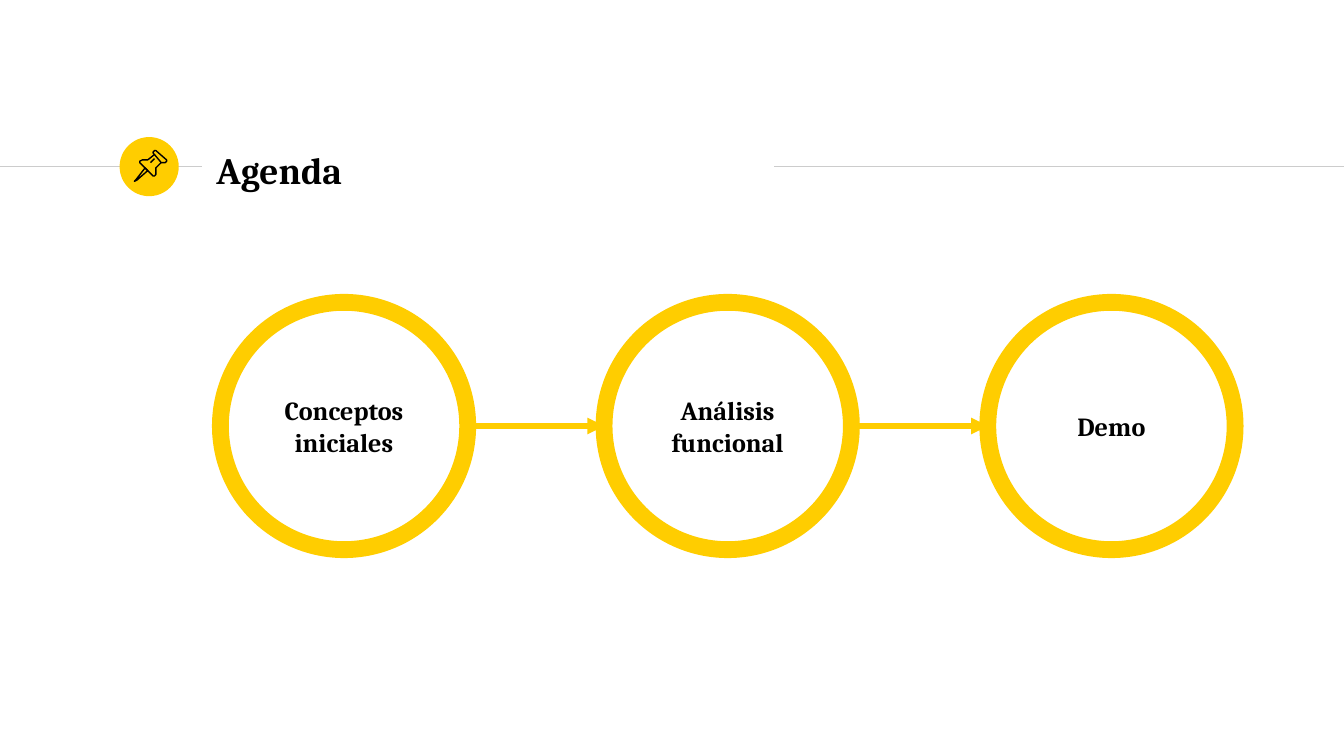
from lxml import etree
from pptx import Presentation
from pptx import util as u
from pptx.dml.color import RGBColor
from pptx.enum import shapes, text
from pptx.oxml import ns

YELLOW = RGBColor(0xFF, 0xCD, 0x00)
GRAY = RGBColor(0xCC, 0xCC, 0xCC)
BLACK = RGBColor(0, 0, 0)
FONT = "Cambria"

# Slide and grid, in inches
WIDTH = 10
HEIGHT = WIDTH * 9 / 16
RULE_Y = 1.24
DIAMETER = 1.84
FIRST_LEFT, LAST_LEFT = 1.64, 7.35
STEP_TOP = 2.25
STEPS = ["Conceptos iniciales", "Análisis funcional", "Demo"]

# Pushpin outlines in hundredths of an inch: points, closed
PIN = [
    ([(108, 125), (101, 134), (100, 135), (102, 134), (110, 127)], True),
    ([(115, 115), (120, 121), (122, 121), (123, 121), (124, 120), (124, 119),
      (116, 112), (115, 112), (114, 113), (114, 114)], True),
    ([(115, 115), (110, 119), (108, 119), (106, 119), (104, 120), (104, 121),
      (114, 131), (115, 131), (116, 130), (116, 128), (116, 125),
      (120, 121)], False),
    ([(112, 121), (115, 118)], False),
]


def set_text(sp, content, size, align):
    tf = sp.text_frame
    tf.word_wrap = True
    tf.auto_size = text.MSO_AUTO_SIZE.NONE
    tf.vertical_anchor = text.MSO_ANCHOR.MIDDLE
    tf.margin_left = tf.margin_right = u.Inches(0.1)
    tf.margin_top = tf.margin_bottom = u.Inches(0.1)
    p = tf.paragraphs[0]
    p.alignment = align
    r = p.add_run()
    r.text = content
    r.font.name, r.font.size, r.font.bold = FONT, u.Pt(size), True
    r.font.color.rgb = BLACK


def style_shape(sp, fill=None, line=None, width=0.75):
    sp.shadow.inherit = False
    if fill is None:
        sp.fill.background()
    else:
        sp.fill.solid()
        sp.fill.fore_color.rgb = fill
    if line is None:
        sp.line.fill.background()
    else:
        sp.line.color.rgb = line
        sp.line.width = u.Pt(width)


def add_circle(s, left, top, diameter, **style):
    sp = s.shapes.add_shape(shapes.MSO_SHAPE.OVAL, u.Inches(left),
                            u.Inches(top), u.Inches(diameter),
                            u.Inches(diameter))
    style_shape(sp, **style)
    return sp


def add_line(s, x1, x2, y, color, width, arrow=False):
    sp = s.shapes.add_connector(shapes.MSO_CONNECTOR.STRAIGHT, u.Inches(x1),
                                u.Inches(y), u.Inches(x2), u.Inches(y))
    sp.line.color.rgb = color
    sp.line.width = u.Pt(width)
    properties = sp._element.spPr
    if arrow:
        etree.SubElement(properties.find(ns.qn("a:ln")), ns.qn("a:tailEnd"),
                         type="triangle")
    etree.SubElement(properties, ns.qn("a:effectLst"))


def add_pin(s):
    for points, closed in PIN:
        builder = s.shapes.build_freeform(*points[0], scale=u.Inches(0.01))
        builder.add_line_segments(points[1:], close=closed)
        style_shape(builder.convert_to_shape(), line=BLACK)


def add_title(s, content):
    title = s.shapes.title
    title.left, title.top = u.Inches(1.51), u.Inches(1.02)
    title.width, title.height = u.Inches(4.24), u.Inches(0.48)
    set_text(title, content, 20, text.PP_ALIGN.LEFT)


def add_steps(s):
    pitch = (LAST_LEFT - FIRST_LEFT) / (len(STEPS) - 1)
    lefts = [FIRST_LEFT + i * pitch for i in range(len(STEPS))]
    for left, label in zip(lefts, STEPS):
        sp = add_circle(s, left, STEP_TOP, DIAMETER, line=YELLOW, width=9)
        set_text(sp, label, 14, text.PP_ALIGN.CENTER)
    for left, following in zip(lefts, lefts[1:]):
        add_line(s, left + DIAMETER, following, STEP_TOP + DIAMETER / 2,
                 YELLOW, 3, arrow=True)


def main():
    prs = Presentation()
    prs.slide_width, prs.slide_height = u.Inches(WIDTH), u.Inches(HEIGHT)
    s = prs.slides.add_slide(prs.slide_layouts[5])

    # Header: rule, badge with pushpin, title
    add_line(s, 0, 1.5, RULE_Y, GRAY, 0.75)
    add_circle(s, 0.89, 1.02, 0.44, fill=YELLOW)
    add_line(s, 5.76, WIDTH, RULE_Y, GRAY, 0.75)
    add_title(s, "Agenda")
    add_pin(s)

    # Agenda steps joined by arrows
    add_steps(s)
    prs.save("out.pptx")


if __name__ == "__main__":
    main()
